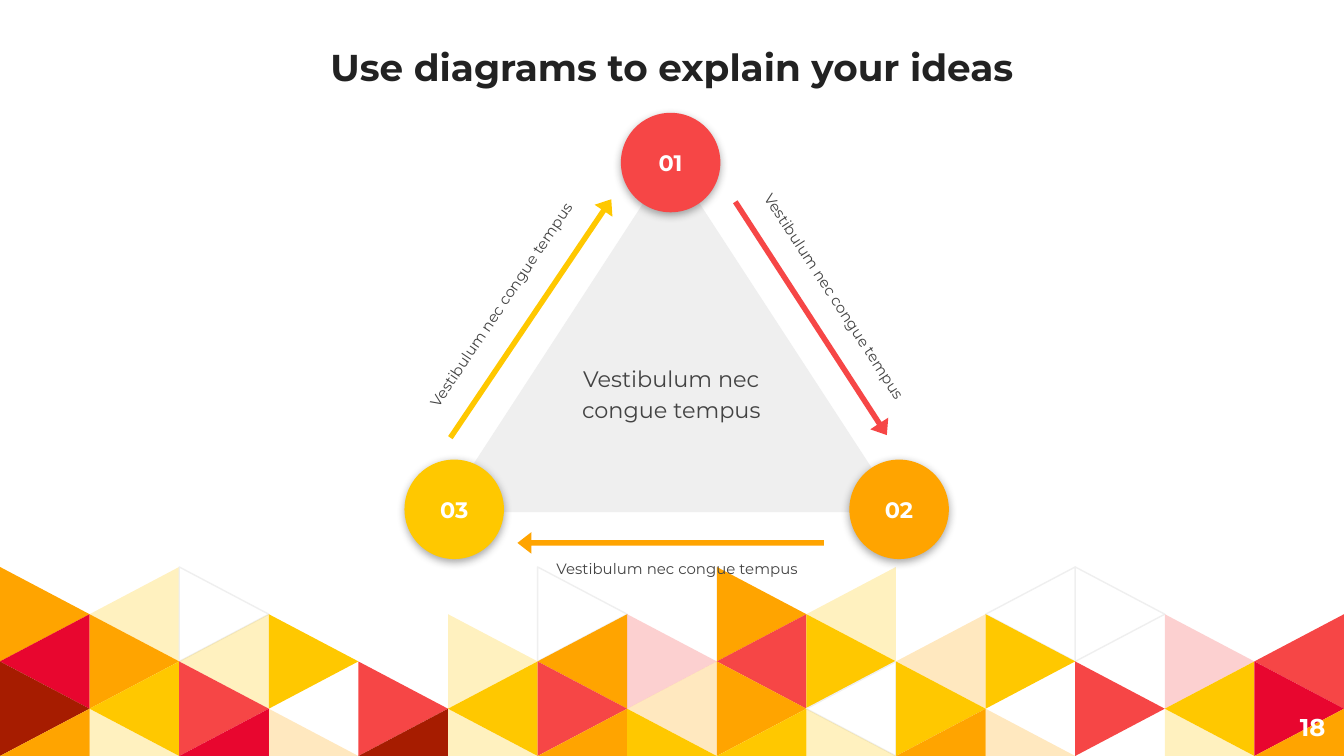
import dataclasses
import typing

import lxml.etree
import pptx
import pptx.dml.color
import pptx.enum.shapes
import pptx.enum.text
import pptx.oxml.ns
import pptx.shapes.autoshape
import pptx.slide
import pptx.util

RGBColor = pptx.dml.color.RGBColor
Shape = pptx.shapes.autoshape.Shape
Slide = pptx.slide.Slide
PresetShape = pptx.enum.shapes.MSO_SHAPE
Anchor = pptx.enum.text.MSO_ANCHOR
Align = pptx.enum.text.PP_ALIGN

WHITE = RGBColor(0xFF, 0xFF, 0xFF)
LIGHT_GREY = RGBColor(0xEF, 0xEF, 0xEF)
DARK_GREY = RGBColor(0x43, 0x43, 0x43)
INK = RGBColor(0x22, 0x22, 0x22)
ORANGE = RGBColor(0xFF, 0xA4, 0x00)
YELLOW = RGBColor(0xFF, 0xC8, 0x00)
RED = RGBColor(0xF6, 0x46, 0x46)
CRIMSON = RGBColor(0xE8, 0x06, 0x2F)
BROWN = RGBColor(0xA6, 0x1C, 0x00)

FONT = "Montserrat"
PHRASE = "Vestibulum nec congue tempus"
SLIDE_WIDTH = pptx.util.Inches(10)
SLIDE_HEIGHT = pptx.util.Inches(5.625)

MOSAIC_TOP = 0.75
MOSAIC_ROWS = (
    "OyW...W.Oy.WW..",
    "COyY.yOrRYoY.rR",
    "BYR.RYRoOWY.RYC",
    "OyCoByOYYyOo.yO",
)
TILE_COLORS = {"O": ORANGE, "Y": YELLOW, "R": RED, "C": CRIMSON, "B": BROWN, "W": WHITE}


@dataclasses.dataclass(frozen=True)
class Box:
    """Left, top, width and height in percent of the slide."""

    left: float
    top: float
    width: float
    height: float
    rotation: float = 0

    def emu(self) -> typing.Tuple[int, int, int, int]:
        return (
            round(self.left * SLIDE_WIDTH / 100),
            round(self.top * SLIDE_HEIGHT / 100),
            round(self.width * SLIDE_WIDTH / 100),
            round(self.height * SLIDE_HEIGHT / 100),
        )


@dataclasses.dataclass(frozen=True)
class TextStyle:
    size: float
    color: RGBColor
    bold: bool = False
    align: Align = Align.CENTER
    anchor: Anchor = Anchor.TOP
    spacing: float = 1.0


@dataclasses.dataclass(frozen=True)
class Step:
    number: str
    color: RGBColor
    circle: Box
    arrow: Box
    caption: Box


TITLE = TextStyle(20, INK, bold=True, anchor=Anchor.BOTTOM)
PAGE_NUMBER = TextStyle(13, WHITE, bold=True, align=Align.RIGHT, anchor=Anchor.MIDDLE)
CENTER = TextStyle(12, DARK_GREY, spacing=1.15)
CAPTION = TextStyle(8, DARK_GREY, spacing=1.15)
BADGE = TextStyle(12, WHITE, bold=True, anchor=Anchor.MIDDLE)

STEPS = (
    Step("02", ORANGE, Box(63.2, 60.8, 7.4, 13.16),
         Box(38.5, 70.4, 22.8, 2.84, 180), Box(39.5, 72.36, 21.8, 6.76)),
    Step("03", YELLOW, Box(30.1, 60.8, 7.4, 13.16),
         Box(28.8, 40.71, 21.4, 2.84, 304), Box(26.6, 37.16, 21.8, 6.76, 303.9)),
    Step("01", RED, Box(46.2, 14.93, 7.4, 13.16),
         Box(50, 40.71, 20.7, 2.84, 57), Box(50.9, 36.09, 21.9, 6.76, 57)),
)


def paint(shape: Shape, color: RGBColor, opacity: int = 100) -> None:
    shape.shadow.inherit = False
    shape.fill.solid()
    shape.fill.fore_color.rgb = color
    shape.line.fill.background()
    if opacity < 100:
        solid = shape._element.spPr.find(pptx.oxml.ns.qn("a:solidFill"))
        lxml.etree.SubElement(solid[0], pptx.oxml.ns.qn("a:alpha"), val=str(opacity * 1000))


def write(shape: Shape, text: str, style: TextStyle) -> None:
    frame = shape.text_frame
    frame.text = text
    frame.word_wrap = True
    frame.vertical_anchor = style.anchor
    frame.margin_left = frame.margin_right = pptx.util.Inches(0.1)
    frame.margin_top = frame.margin_bottom = pptx.util.Inches(0.1)
    for paragraph in frame.paragraphs:
        paragraph.alignment = style.align
        paragraph.line_spacing = style.spacing
        for run in paragraph.runs:
            run.font.name = FONT
            run.font.size = pptx.util.Pt(style.size)
            run.font.bold = style.bold
            run.font.color.rgb = style.color


def add_label(slide: Slide, box: Box, text: str, style: TextStyle) -> None:
    shape = slide.shapes.add_textbox(*box.emu())
    shape.rotation = box.rotation
    write(shape, text, style)


def add_preset(slide: Slide, preset: PresetShape, box: Box, color: RGBColor) -> Shape:
    shape = slide.shapes.add_shape(preset, *box.emu())
    shape.rotation = box.rotation
    paint(shape, color)
    return shape


def add_soft_shadow(shape: Shape) -> None:
    qn = pptx.oxml.ns.qn
    effects = shape._element.spPr.find(qn("a:effectLst"))
    shadow = lxml.etree.SubElement(
        effects, qn("a:outerShdw"), blurRad=str(pptx.util.Pt(4.5)),
        dist=str(pptx.util.Pt(1.5)), dir="5400000", algn="bl", rotWithShape="0")
    color = lxml.etree.SubElement(shadow, qn("a:srgbClr"), val="212121")
    lxml.etree.SubElement(color, qn("a:alpha"), val="38000")


def add_tile(slide: Slide, column: int, row: int, code: str) -> None:
    points_right = (column + row) % 2 == 0
    base, tip = (column, column + 1) if points_right else (column + 1, column)
    last = len(MOSAIC_ROWS)
    corners = [(base, row), (base, min(row + 2, last)), (tip, row + 1)]
    tile_width = SLIDE_WIDTH / len(MOSAIC_ROWS[0])
    tile_height = SLIDE_HEIGHT * (1 - MOSAIC_TOP) / last
    points = [(round(x * tile_width), round(SLIDE_HEIGHT * MOSAIC_TOP + y * tile_height))
              for x, y in corners]
    builder = slide.shapes.build_freeform(*points[0])
    builder.add_line_segments(points[1:], close=True)
    shape = builder.convert_to_shape()
    paint(shape, TILE_COLORS[code.upper()], 25 if code.islower() else 100)
    if code == "W":
        shape.line.color.rgb = LIGHT_GREY
        shape.line.width = pptx.util.Pt(0.75)


def add_step(slide: Slide, step: Step) -> None:
    arrow = add_preset(slide, PresetShape.RIGHT_ARROW, step.arrow, step.color)
    arrow.adjustments[0] = 0.255
    arrow.adjustments[1] = 0.643
    add_label(slide, step.caption, PHRASE, CAPTION)
    circle = add_preset(slide, PresetShape.OVAL, step.circle, step.color)
    add_soft_shadow(circle)
    write(circle, step.number, BADGE)


def main() -> None:
    presentation = pptx.Presentation()
    presentation.slide_width = SLIDE_WIDTH
    presentation.slide_height = SLIDE_HEIGHT
    slide = presentation.slides.add_slide(presentation.slide_layouts[6])
    for row, codes in enumerate(MOSAIC_ROWS):
        for column, code in enumerate(codes):
            if code != ".":
                add_tile(slide, column, row, code)
    add_label(slide, Box(0, 0, 100, 13.51), "Use diagrams to explain your ideas", TITLE)
    add_label(slide, Box(93.6, 92.27, 6, 7.64), "18", PAGE_NUMBER)
    add_preset(slide, PresetShape.ISOSCELES_TRIANGLE, Box(32.9, 21.16, 34.1, 46.58), LIGHT_GREY)
    add_label(slide, Box(40.5, 46.04, 18.9, 18.67), PHRASE, CENTER)
    for step in STEPS:
        add_step(slide, step)
    presentation.save("out.pptx")


if __name__ == "__main__":
    main()
